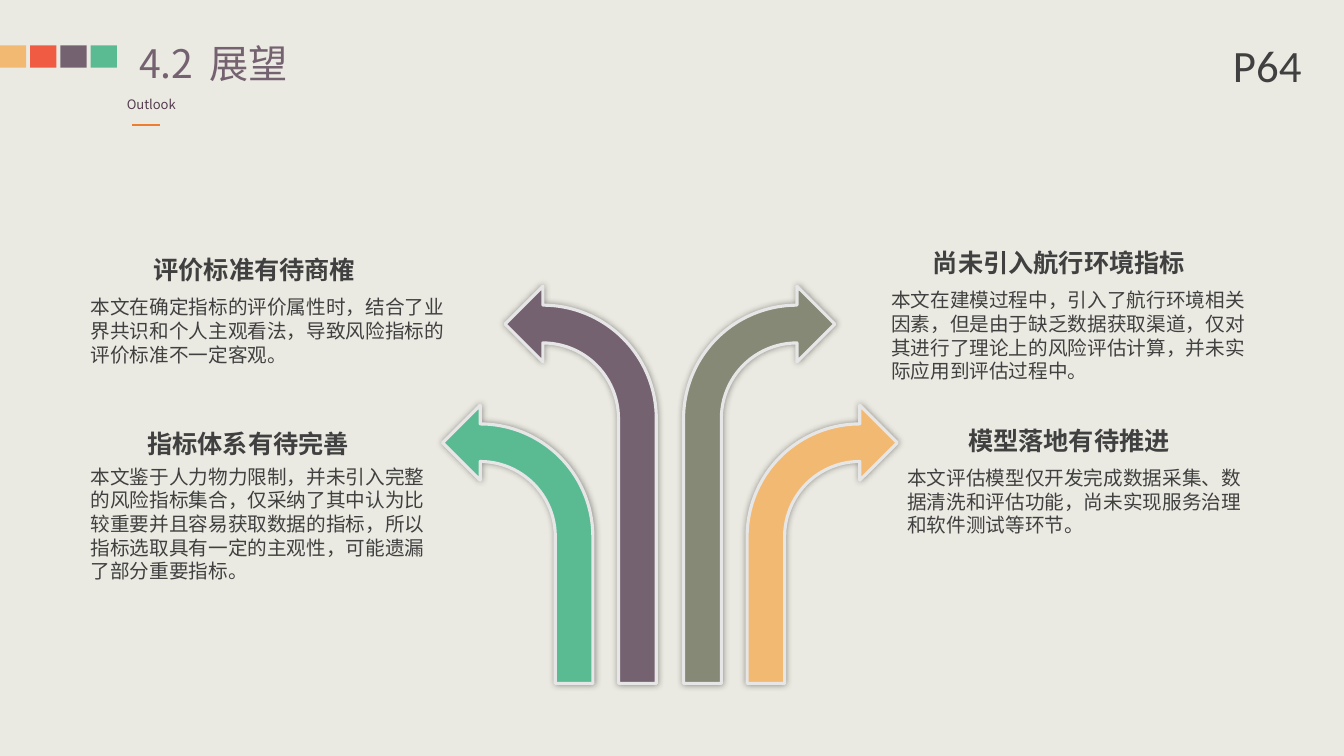
from dataclasses import dataclass

from lxml import etree
from pptx import Presentation
from pptx.dml.color import RGBColor
from pptx.enum.shapes import MSO_CONNECTOR, MSO_SHAPE
from pptx.enum.text import MSO_AUTO_SIZE, PP_ALIGN
from pptx.oxml import parse_xml
from pptx.oxml.ns import nsdecls, qn
from pptx.util import Inches, Pt


@dataclass(frozen=True)
class Theme:
    background: str = "EBEAE2"
    yellow: str = "F2B973"
    red: str = "EF5B43"
    purple: str = "756271"
    green: str = "5ABB93"
    olive: str = "858976"
    outline: str = "E7E6E6"
    accent: str = "ED7D31"
    subtitle: str = "543C4F"
    text: str = "404040"
    font: str = "Noto Sans CJK SC"
    page_font: str = "Calibri"
    title_size: float = 28
    subtitle_size: float = 9.3
    heading_size: float = 18
    body_size: float = 14
    page_size: float = 32
    line_factor: float = 1.21


THEME = Theme()

# Heading text, heading box, body text, body box (left, top, width, height)
TOPICS = [
    ("评价标准有待商榷", (1.27, 2.47, 2.35, 0.4),
     "本文在确定指标的评价属性时，结合了业界共识和个人主观看法，导致风险指标的评价标准不一定客观。",
     (0.8, 2.88, 3.81, 0.81)),
    ("指标体系有待完善", (1.2, 4.2, 2.36, 0.4),
     "本文鉴于人力物力限制，并未引入完整的风险指标集合，仅采纳了其中认为比较重要并且容易获取数据的指标，"
     "所以指标选取具有一定的主观性，可能遗漏了部分重要指标。",
     (0.8, 4.56, 3.59, 1.28)),
    ("尚未引入航行环境指标", (8.9, 2.4, 2.95, 0.4),
     "本文在建模过程中，引入了航行环境相关因素，但是由于缺乏数据获取渠道，仅对其进行了理论上的风险评估计算，"
     "并未实际应用到评估过程中。",
     (8.74, 2.81, 3.74, 1.04)),
    ("模型落地有待推进", (9.4, 4.17, 2.3, 0.4),
     "本文评估模型仅开发完成数据采集、数据清洗和评估功能，尚未实现服务治理和软件测试等环节。",
     (8.9, 4.57, 3.57, 0.81)),
]

# Box, colour, whether the arrow points left
ARROWS = [
    ((7.41, 4.02, 1.49, 2.76), THEME.yellow, False),
    ((4.39, 4.02, 1.49, 2.76), THEME.green, True),
    ((5.01, 2.84, 1.5, 3.94), THEME.purple, True),
    ((6.78, 2.84, 1.5, 3.94), THEME.olive, False),
]


def color(value):
    return RGBColor.from_string(value)


def add_text(slide, text, box, *, size, fill=THEME.text, font=THEME.font, bold=False,
             align=PP_ALIGN.LEFT, inset=True, tab=None):
    shape = slide.shapes.add_textbox(*map(Inches, box))
    frame = shape.text_frame
    frame.word_wrap = True
    frame.auto_size = MSO_AUTO_SIZE.SHAPE_TO_FIT_TEXT
    if not inset:
        frame.margin_left = frame.margin_top = frame.margin_right = frame.margin_bottom = 0
    paragraph = frame.paragraphs[0]
    paragraph.alignment = align
    paragraph.line_spacing = Pt(round(size * THEME.line_factor, 1))
    if tab:
        tabs = etree.SubElement(paragraph._p.get_or_add_pPr(), qn("a:tabLst"))
        etree.SubElement(tabs, qn("a:tab"), pos=str(Inches(tab)), algn="l")
    run = paragraph.add_run()
    run.text = text
    run.font.size = Pt(size)
    run.font.bold = bold
    run.font.color.rgb = color(fill)
    run.font.name = font
    etree.SubElement(run._r.get_or_add_rPr(), qn("a:ea"), typeface=font)


def add_swatch(slide, left, fill):
    shape = slide.shapes.add_shape(
        MSO_SHAPE.RECTANGLE, Inches(left), Inches(0.45), Inches(0.26), Inches(0.22))
    shape.shadow.inherit = False
    shape.fill.solid()
    shape.fill.fore_color.rgb = color(fill)
    shape.line.fill.background()


def add_rule(slide, left, right, top):
    line = slide.shapes.add_connector(
        MSO_CONNECTOR.STRAIGHT, Inches(left), Inches(top), Inches(right), Inches(top))
    line.line.color.rgb = color(THEME.accent)
    line.line.width = Pt(1.5)
    etree.SubElement(line._element.spPr, qn("a:effectLst"))


def add_bent_arrow(slide, box, fill, points_left):
    shape = slide.shapes.add_shape(MSO_SHAPE.BENT_ARROW, *map(Inches, box))
    for index, value in enumerate((0.25, 0.25, 0.25, 0.75)):
        shape.adjustments[index] = value
    shape.fill.solid()
    shape.fill.fore_color.rgb = color(fill)
    shape.line.color.rgb = color(THEME.outline)
    shape.line.width = Pt(2.25)
    properties = shape._element.spPr
    if points_left:
        properties.find(qn("a:xfrm")).set("flipH", "1")
    # Soft shadow around the outline
    properties.append(parse_xml(
        f'<a:effectLst {nsdecls("a")}><a:outerShdw blurRad="{Pt(5)}" dist="0" dir="0" '
        'algn="ctr" rotWithShape="0"><a:srgbClr val="000000"><a:alpha val="40000"/>'
        '</a:srgbClr></a:outerShdw></a:effectLst>'))


def add_topic(slide, heading, heading_box, body, body_box):
    add_text(slide, heading, heading_box, size=THEME.heading_size, bold=True,
             align=PP_ALIGN.RIGHT)
    add_text(slide, body, body_box, size=THEME.body_size)


def main():
    presentation = Presentation()
    presentation.slide_width = Inches(13.33)
    presentation.slide_height = Inches(7.5)
    slide = presentation.slides.add_slide(presentation.slide_layouts[6])
    slide.background.fill.solid()
    slide.background.fill.fore_color.rgb = color(THEME.background)

    # Header
    for index, fill in enumerate((THEME.yellow, THEME.red, THEME.purple, THEME.green)):
        add_swatch(slide, 0.3 * index, fill)
    add_text(slide, "4.2\t展望", (1.38, 0.39, 3.99, 0.47), size=THEME.title_size,
             fill=THEME.purple, inset=False, tab=0.7)
    add_text(slide, "Outlook", (1.16, 0.91, 0.8, 0.26), size=THEME.subtitle_size,
             fill=THEME.subtitle)
    add_rule(slide, 1.31, 1.59, 1.24)
    add_text(slide, "P64", (12.13, 0.32, 0.92, 0.64), size=THEME.page_size,
             font=THEME.page_font)

    # Arrows and topics
    for arrow in ARROWS:
        add_bent_arrow(slide, *arrow)
    for topic in TOPICS:
        add_topic(slide, *topic)

    presentation.save("out.pptx")


if __name__ == "__main__":
    main()
